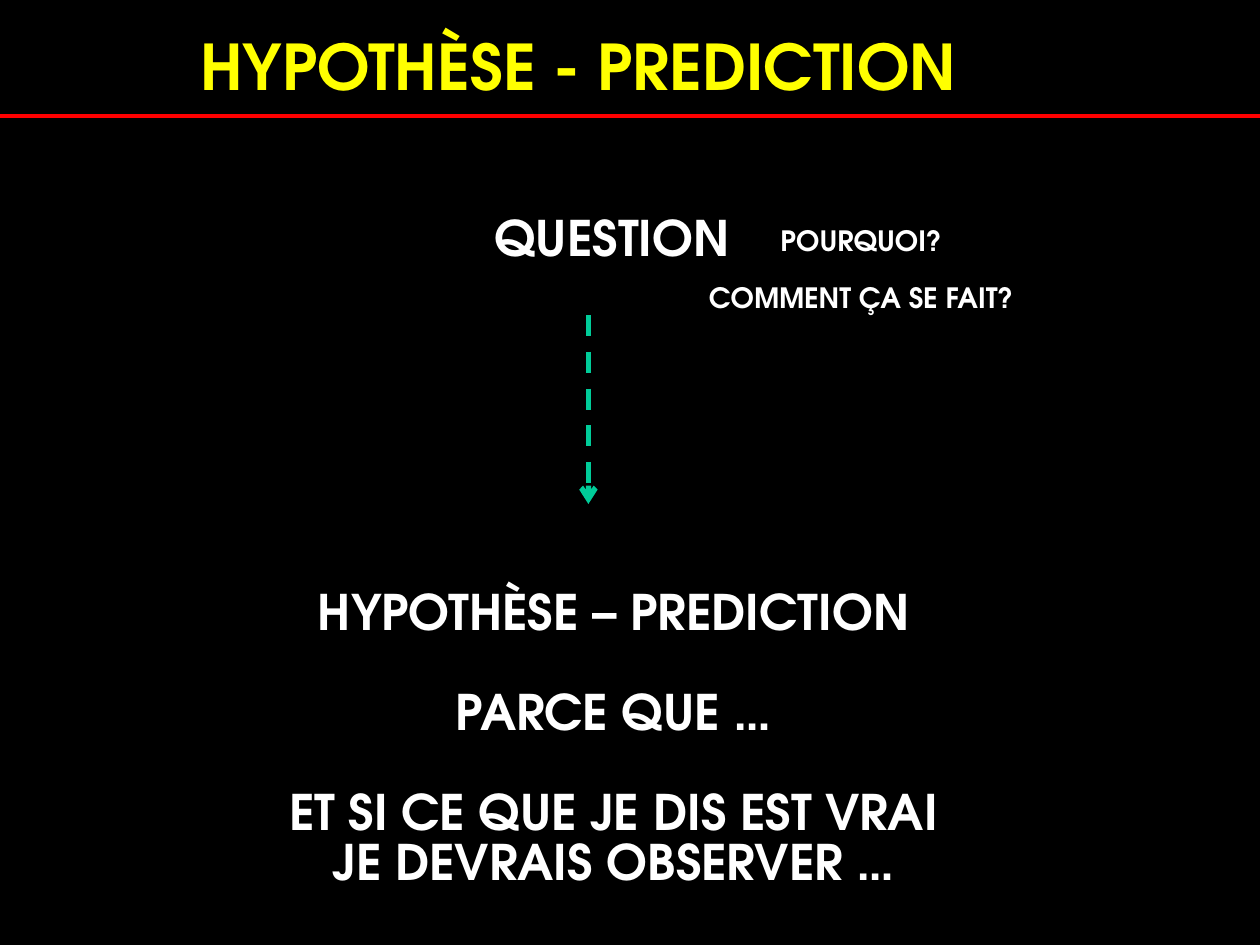
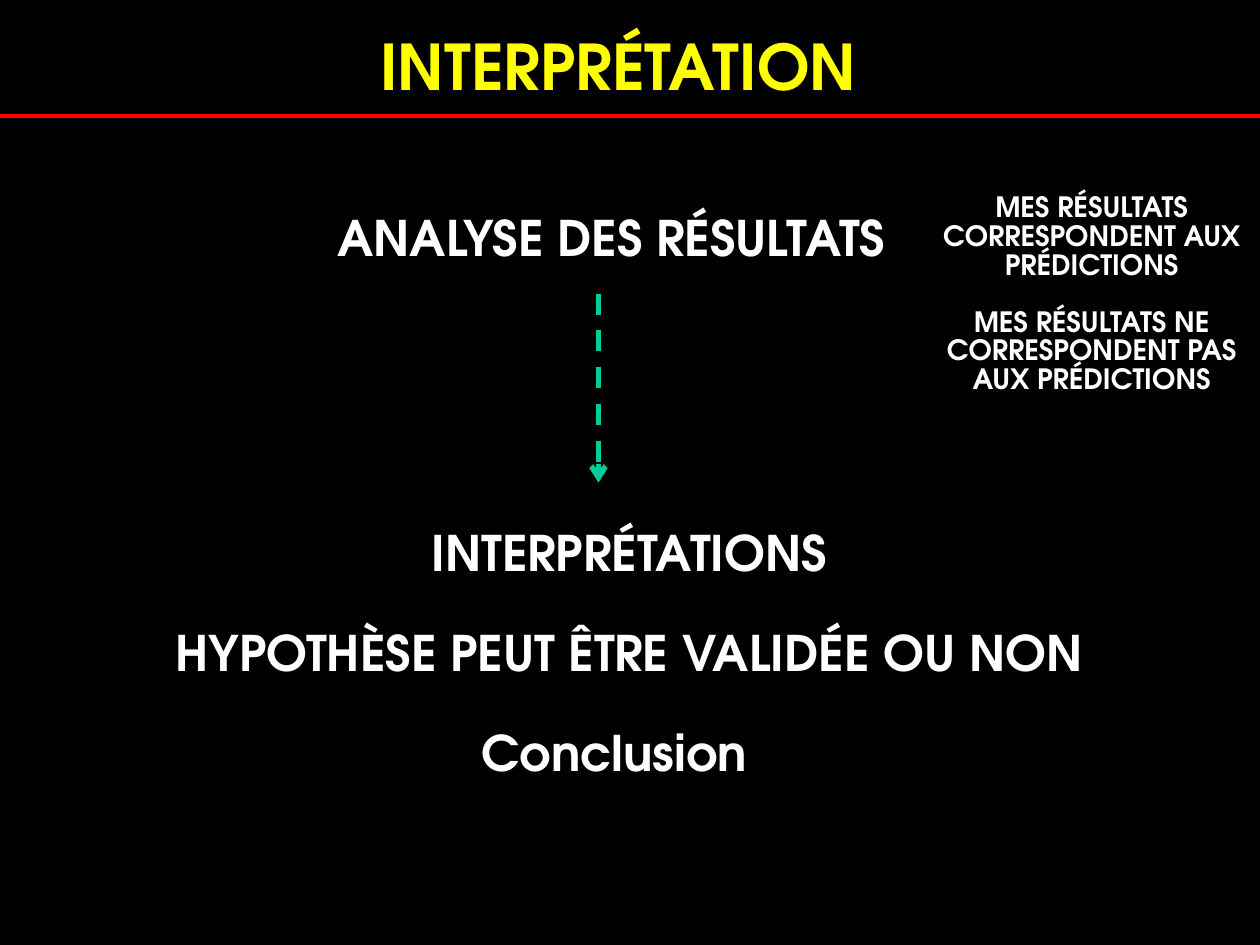
from pptx import Presentation
from pptx.dml.color import RGBColor
from pptx.enum.dml import MSO_LINE
from pptx.enum.shapes import MSO_CONNECTOR
from pptx.enum.text import PP_ALIGN
from pptx.oxml.ns import qn
from pptx.util import Inches, Pt
from lxml.etree import SubElement

BLACK = RGBColor(0x00, 0x00, 0x00)
WHITE = RGBColor(0xFF, 0xFF, 0xFF)
YELLOW = RGBColor(0xFF, 0xFF, 0x00)
RED = RGBColor(0xFF, 0x00, 0x00)
GREEN = RGBColor(0x00, 0xCC, 0x99)

FONT = "TeX Gyre Adventor"
TITLE, BODY, NOTE = 36, 28, 16
PITCH = 0.85    # line spacing of all text below the title
LINE = 1.2      # full line height in ems
INSET = 0.05
ARROW = 1.5     # length of the arrow

# Boxes are (left, top, width, height); "lead" leaves one line free on top.
SLIDES = [
    {
        "title": ("HYPOTHÈSE - PREDICTION", (1.49, 0.17, 6.63, 0.7)),
        "head": ("QUESTION", (3.83, 1.67, 2.17, 0.9)),
        "arrow": (4.67, 2.5),
        "note": (["POURQUOI?", "COMMENT ÇA SE FAIT?"],
                 (5.5, 1.5, 2.67, 1.5)),
        "body": (["HYPOTHÈSE – PREDICTION", "PARCE QUE …",
                  "ET SI CE QUE JE DIS EST VRAI JE DEVRAIS OBSERVER …"],
                 (2.08, 4.17, 5.58, 3.35)),
        "lead": True,
        "shift": 0,
    },
    {
        "title": ("INTERPRÉTATION", (2.92, 0.17, 4.55, 0.7)),
        "head": ("ANALYSE DES RÉSULTATS", (2.58, 1.67, 4.67, 0.9)),
        "arrow": (4.75, 2.33),
        "note": (["MES RÉSULTATS CORRESPONDENT AUX PRÉDICTIONS",
                  "MES RÉSULTATS NE CORRESPONDENT PAS AUX PRÉDICTIONS"],
                 (7.33, 1.5, 2.67, 2.14)),
        "body": (["INTERPRÉTATIONS", "HYPOTHÈSE PEUT ÊTRE VALIDÉE OU NON",
                  "Conclusion"],
                 (-0.42, 4.17, 10.83, 3.28)),
        "lead": True and False,
        "shift": 0.24,  # right margin of the last line
    },
]


def add_text(slide, lines, box, size, color=WHITE, align=PP_ALIGN.LEFT,
             pitch=PITCH, wrap=True, lead=False):
    """Add a text box whose paragraphs stand one free line apart."""
    frame = slide.shapes.add_textbox(*map(Inches, box)).text_frame
    frame.word_wrap = wrap
    if lead:
        frame.margin_top = Inches(INSET) + Pt(size * LINE)
    for i, line in enumerate(lines):
        para = frame.paragraphs[0] if i == 0 else frame.add_paragraph()
        para.text = line
        para.alignment = align
        para.line_spacing = pitch
        if i:
            para.space_before = Pt(size * LINE * pitch)
        font = para.font
        font.name, font.size, font.bold = FONT, Pt(size), True
        font.color.rgb = color
    return frame


def add_line(slide, start, end, color, width):
    """Add a straight line without a shadow."""
    line = slide.shapes.add_connector(
        MSO_CONNECTOR.STRAIGHT, *map(Inches, start + end))
    line.line.color.rgb = color
    line.line.width = Pt(width)
    SubElement(line._element.spPr, qn("a:effectLst"))
    return line


def add_arrow(slide, x, y):
    """Add the dashed arrow that points down from (x, y)."""
    arrow = add_line(slide, (x, y), (x, y + ARROW), GREEN, 3)
    arrow.line.dash_style = MSO_LINE.DASH
    SubElement(arrow.line._get_or_add_ln(), qn("a:tailEnd"), type="arrow")


def add_slide(deck, data):
    """Build one slide: title band, heading, arrow, note and body."""
    slide = deck.slides.add_slide(deck.slide_layouts[6])
    fill = slide.background.fill
    fill.solid()
    fill.fore_color.rgb = BLACK
    add_line(slide, (0, 0.92), (10, 0.92), RED, 2.24)
    title, box = data["title"]
    add_text(slide, [title], box, TITLE, YELLOW, pitch=1.0, wrap=False)
    head, box = data["head"]
    add_text(slide, [head], box, BODY)
    add_arrow(slide, *data["arrow"])
    for key, size in (("note", NOTE), ("body", BODY)):
        lines, box = data[key]
        frame = add_text(slide, lines, box, size, align=PP_ALIGN.CENTER,
                         lead=data["lead"])
    if data["shift"]:
        last = frame.paragraphs[-1]._p.get_or_add_pPr()
        last.set("marR", str(Inches(data["shift"])))


deck = Presentation()
deck.slide_width, deck.slide_height = Inches(10), Inches(7.5)
for data in SLIDES:
    add_slide(deck, data)
deck.save("out.pptx")
